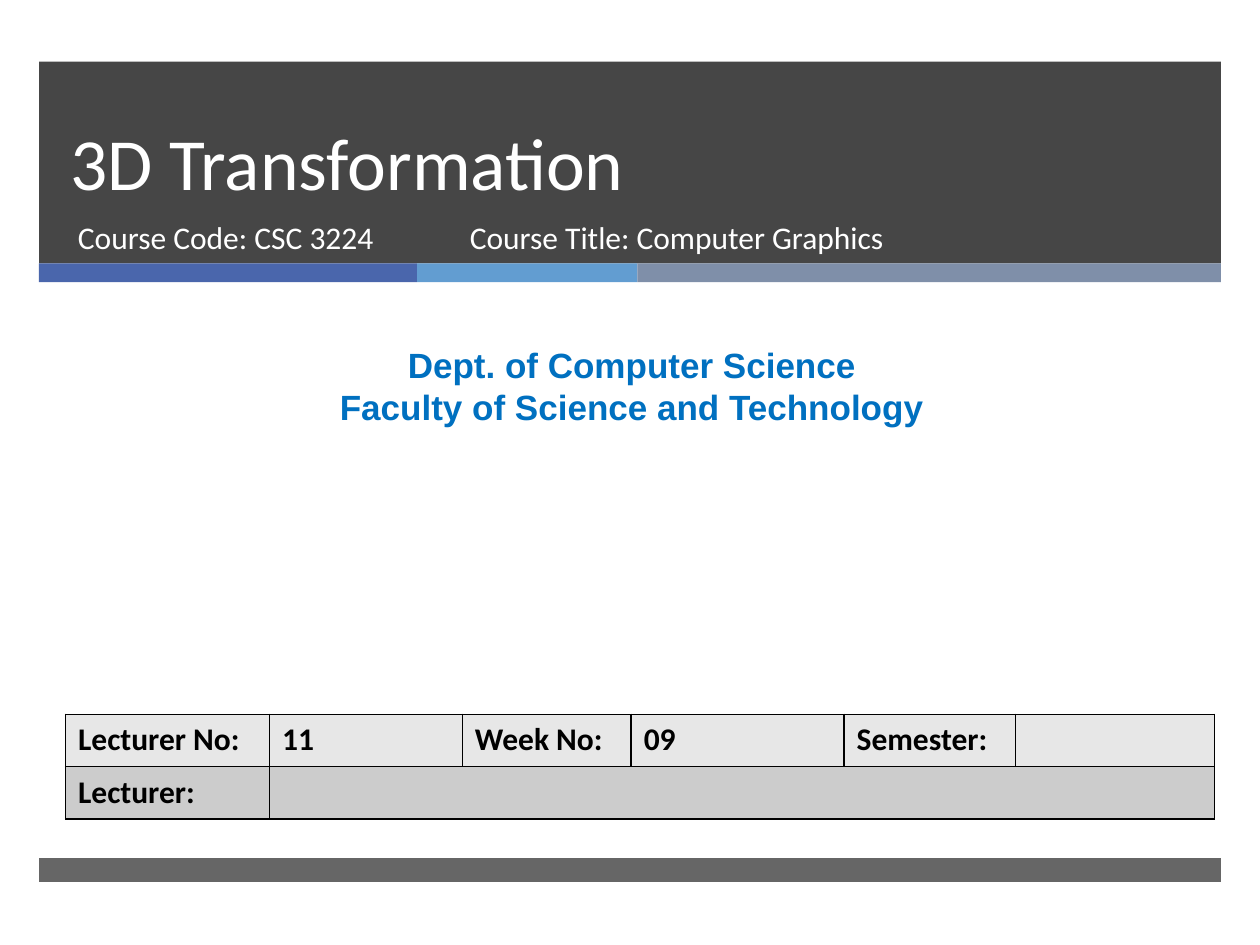
from lxml.etree import SubElement
from pptx import Presentation
from pptx.dml.color import RGBColor
from pptx.enum.shapes import MSO_SHAPE
from pptx.enum.text import MSO_ANCHOR, PP_ALIGN
from pptx.oxml import parse_xml
from pptx.oxml.ns import nsdecls, qn
from pptx.util import Pt

COLORS = {
    "dark": "262626", "blue": "4A66AC", "sky": "629DD1", "slate": "7F8FA9",
    "white": "FFFFFF", "department": "0070C0", "black": "000000",
    "upper row": "E7E7E7", "lower row": "CCCCCC",
}
TITLE = "3D Transformation"
COURSE = [  # text, left, width
    ("Course Code: CSC 3224", 37.44, 219.6),
    ("Course Title: Computer Graphics", 261.36, 327.6),
]
DEPARTMENT = ["Dept. of Computer Science", "Faculty of Science and Technology"]
LECTURE = [
    ["Lecturer No:", "11", "Week No:", "09", "Semester:", ""],
    ["Lecturer:"],
]
ROW_FILLS = ["upper row", "lower row"]
COLUMN_WIDTHS = [116.64, 110.16, 96.48, 121.68, 97.92, 113.76]
ROW_HEIGHT = 29.88

BAND_LEFT, BAND_WIDTH = 22.32, 675.36
HEADER_TOP, HEADER_HEIGHT = 35.28, 115.2
STRIPE_HEIGHT = 10.8
STRIPES = [("blue", 216), ("sky", 126), ("slate", 333.36)]
FOOTER_TOP, FOOTER_HEIGHT = 490.32, 13.68

TITLE_STYLE = {"name": "Calibri", "size": Pt(42), "bold": False}
COURSE_STYLE = {"name": "Calibri", "size": Pt(18)}
DEPARTMENT_STYLE = {"name": "Arial", "size": Pt(20), "bold": True}
CELL_STYLE = {"name": "Calibri", "size": Pt(18), "bold": True}


def rgb(color):
    return RGBColor.from_string(COLORS[color])


def write(frame, lines, style, color, align=PP_ALIGN.LEFT):
    frame.text = "\n".join(lines)
    for paragraph in frame.paragraphs:
        paragraph.alignment = align
        paragraph.font.color.rgb = rgb(color)
        for attribute, value in style.items():
            setattr(paragraph.font, attribute, value)


def add_band(slide, box, color, opacity=100):
    band = slide.shapes.add_shape(MSO_SHAPE.RECTANGLE, *map(Pt, box))
    band.shadow.inherit = False
    band.fill.solid()
    band.fill.fore_color.rgb = rgb(color)
    band.line.fill.background()
    if opacity < 100:
        tint = band.fill._xPr.find(qn("a:solidFill"))[0]
        SubElement(tint, qn("a:alpha")).set("val", str(opacity * 1000))


def add_text(slide, box, lines, style, color, align=PP_ALIGN.LEFT):
    frame = slide.shapes.add_textbox(*map(Pt, box)).text_frame
    frame.word_wrap = True
    write(frame, lines, style, color, align)


def add_borders(cell):
    properties = cell._tc.get_or_add_tcPr()
    for position, side in enumerate("LRTB"):
        properties.insert(position, parse_xml(
            f'<a:ln{side} {nsdecls("a")} w="{Pt(1)}"><a:solidFill>'
            f'<a:srgbClr val="{COLORS["black"]}"/></a:solidFill></a:ln{side}>'))


def add_lecture_table(slide):
    columns = len(COLUMN_WIDTHS)
    table = slide.shapes.add_table(
        len(LECTURE), columns, Pt(37.44), Pt(408.24),
        Pt(sum(COLUMN_WIDTHS)), Pt(ROW_HEIGHT * len(LECTURE))).table
    for column, width in zip(table.columns, COLUMN_WIDTHS):
        column.width = Pt(width)
    for r, (texts, fill) in enumerate(zip(LECTURE, ROW_FILLS)):
        table.rows[r].height = Pt(ROW_HEIGHT)
        for c in range(columns):
            cell = table.cell(r, c)
            cell.fill.solid()
            cell.fill.fore_color.rgb = rgb(fill)
            add_borders(cell)
            if c < len(texts):
                write(cell.text_frame, [texts[c]], CELL_STYLE, "black")
    table.cell(1, 1).merge(table.cell(1, columns - 1))


def main():
    deck = Presentation()
    deck.slide_width, deck.slide_height = Pt(720), Pt(540)
    slide = deck.slides.add_slide(deck.slide_layouts[5])

    add_band(slide, (BAND_LEFT, HEADER_TOP, BAND_WIDTH, HEADER_HEIGHT), "dark", 85)
    left = BAND_LEFT
    for color, width in STRIPES:
        add_band(slide, (left, HEADER_TOP + HEADER_HEIGHT, width, STRIPE_HEIGHT), color)
        left += width
    add_band(slide, (BAND_LEFT, FOOTER_TOP, BAND_WIDTH, FOOTER_HEIGHT), "dark", 70)

    title = slide.shapes.title
    title.element.getparent().append(title.element)  # in front of the bands
    title.left, title.top, title.width, title.height = map(
        Pt, (33.12, HEADER_TOP, 614.88, 85.68))
    write(title.text_frame, [TITLE], TITLE_STYLE, "white")
    title.text_frame.vertical_anchor = MSO_ANCHOR.BOTTOM
    title.text_frame.paragraphs[0].line_spacing = Pt(46)

    for text, left, width in COURSE:
        add_text(slide, (left, 120.96, width, 38.16), [text], COURSE_STYLE, "white")
    add_text(slide, (5.76, 192.96, 710.64, 55.44), DEPARTMENT,
             DEPARTMENT_STYLE, "department", PP_ALIGN.CENTER)
    add_lecture_table(slide)
    deck.save("out.pptx")


if __name__ == "__main__":
    main()
